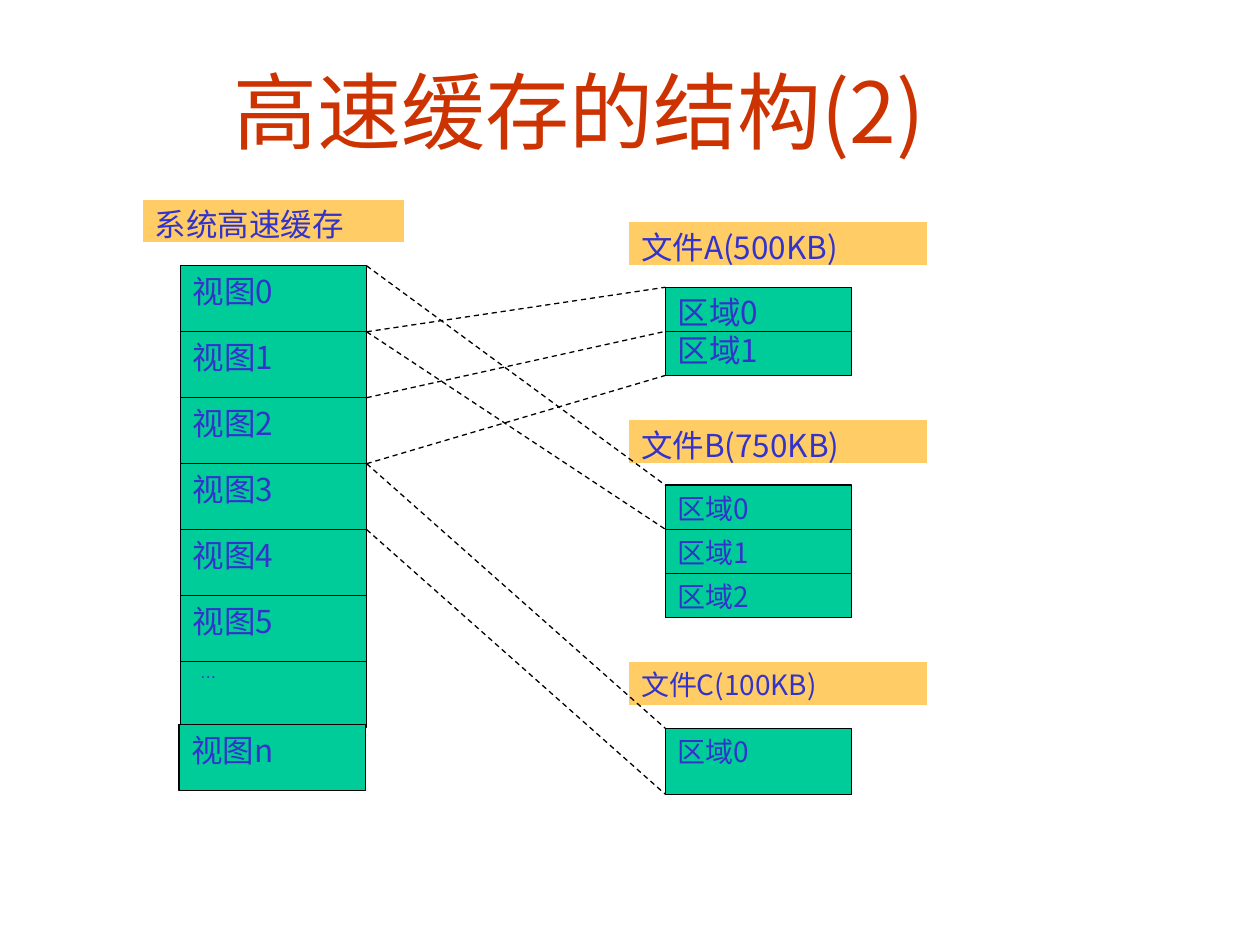
from lxml import etree
from pptx import Presentation
from pptx import util as u
from pptx.dml.color import RGBColor
from pptx.enum import dml, shapes, text
from pptx.oxml.ns import qn

FONT = "Noto Sans CJK JP"
COLORS = {
    "title": "CC3300",
    "text": "3333CC",
    "block": "00CC99",
    "label": "FFCC66",
    "black": "000000",
    "white": "FFFFFF",
}


def rgb(name):
    return RGBColor.from_string(COLORS[name])


def write(p, words, size=18, color="text", align=text.PP_ALIGN.LEFT):
    """Put one formatted run into a paragraph."""
    p.alignment = align
    r = p.add_run()
    r.text = words
    r.font.size = u.Pt(size)
    r.font.name = FONT
    r.font.color.rgb = rgb(color)
    etree.SubElement(r._r.get_or_add_rPr(), qn("a:ea"), typeface=FONT)


class Diagram:
    line_width = u.Pt(0.75)

    def __init__(self, prs):
        self.s = prs.slides.add_slide(prs.slide_layouts[5])

    def title(self, words, x, y, w, h):
        sp = self.s.shapes.title
        sp.left, sp.top, sp.width, sp.height = map(u.Inches, (x, y, w, h))
        tf = sp.text_frame
        tf.word_wrap = True
        tf.vertical_anchor = text.MSO_ANCHOR.MIDDLE
        write(tf.paragraphs[0], words, size=48, color="title",
              align=text.PP_ALIGN.CENTER)

    def box(self, lines, x, y, w, h, fill="block", line="black", size=18, inset=0.1):
        sp = self.s.shapes.add_shape(
            shapes.MSO_SHAPE.RECTANGLE, *map(u.Inches, (x, y, w, h)))
        sp.shadow.inherit = False
        sp.fill.solid()
        sp.fill.fore_color.rgb = rgb(fill)
        sp.line.color.rgb = rgb(line)
        sp.line.width = self.line_width
        tf = sp.text_frame
        tf.word_wrap = True
        tf.vertical_anchor = text.MSO_ANCHOR.TOP
        tf.margin_left = u.Inches(inset)
        for i, words in enumerate(lines):
            p = tf.add_paragraph() if i else tf.paragraphs[0]
            write(p, words, size=size)
        return sp

    def label(self, words, x, y, w, size=18):
        self.box([words], x, y, w, 0.35, fill="label", line="white", size=size)

    def line(self, x1, y1, x2, y2, dashed=True):
        c = self.s.shapes.add_connector(
            shapes.MSO_CONNECTOR.STRAIGHT, *map(u.Inches, (x1, y1, x2, y2)))
        c.line.color.rgb = rgb("black")
        c.line.width = self.line_width
        if dashed:
            c.line.dash_style = dml.MSO_LINE.DASH
        etree.SubElement(c._element.spPr, qn("a:effectLst"))
        return c


def main():
    prs = Presentation()
    prs.slide_width, prs.slide_height = u.Inches(10), u.Inches(7.5)
    d = Diagram(prs)
    d.title("高速缓存的结构(2) ", 0.42, 0.25, 8.5, 1.25)

    # Cache views, stacked at one pitch
    view_x, file_x, block_w = 1.43, 5.28, 1.48
    view_h = (5.25 - 2.11) / 6
    view_y = [2.11 + i * view_h for i in range(7)]
    for i in range(6):
        d.box([f"视图{i}"], view_x, view_y[i], block_w, view_h)
    d.box(["…"], view_x, view_y[6], block_w, view_h, size=9, inset=0.16)
    d.box(["视图n"], 1.42, 5.75, block_w, view_h)

    # File regions
    region_h = 0.35
    a_y, b_y, c_y = 2.28, 3.85, 5.78
    file_a = d.box(["区域0", "区域1"], file_x, a_y, block_w, 2 * region_h)
    divider = d.line(file_x, a_y + region_h, file_x + block_w, a_y + region_h,
                     dashed=False)
    divider.begin_connect(file_a, 1)
    divider.end_connect(file_a, 3)
    for i in range(3):
        d.box([f"区域{i}"], file_x, b_y + i * region_h, block_w, region_h, size=16)
    d.box(["区域0"], file_x, c_y, block_w, view_h, size=16)

    # Headings
    d.label("系统高速缓存", 1.13, 1.58, 2.08)
    for words, y, size in [("文件A(500KB)", 1.76, 18),
                           ("文件B(750KB)", 3.33, 18),
                           ("文件C(100KB)", 5.25, 16)]:
        d.label(words, 4.99, y, 2.37, size=size)

    # Mapping from view edges to region edges
    edges = [(1, a_y), (2, a_y + region_h), (3, a_y + 2 * region_h),
             (0, b_y), (1, b_y + region_h),
             (3, c_y), (4, c_y + view_h)]
    for view, y in edges:
        c = d.line(view_x + block_w, view_y[view], file_x, y)
        if y == a_y + region_h:
            c.end_connect(file_a, 1)

    prs.save("out.pptx")


if __name__ == "__main__":
    main()
